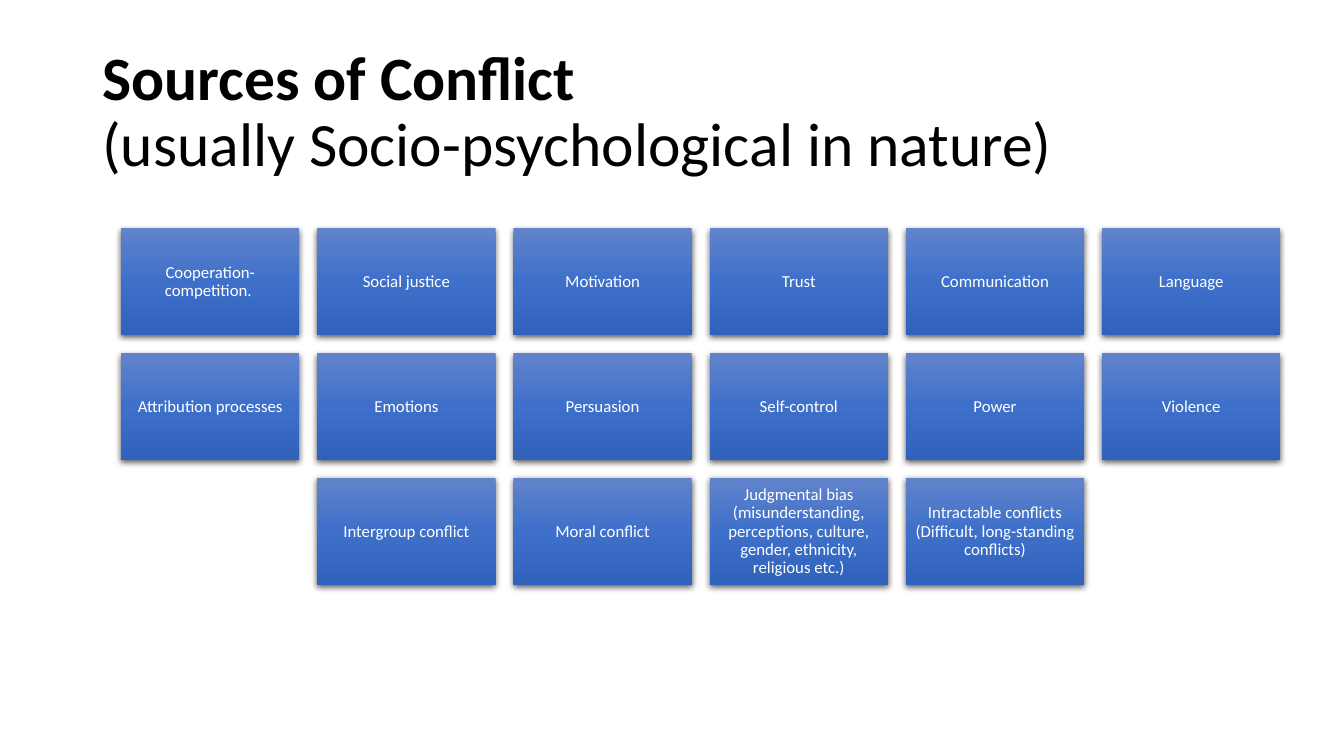
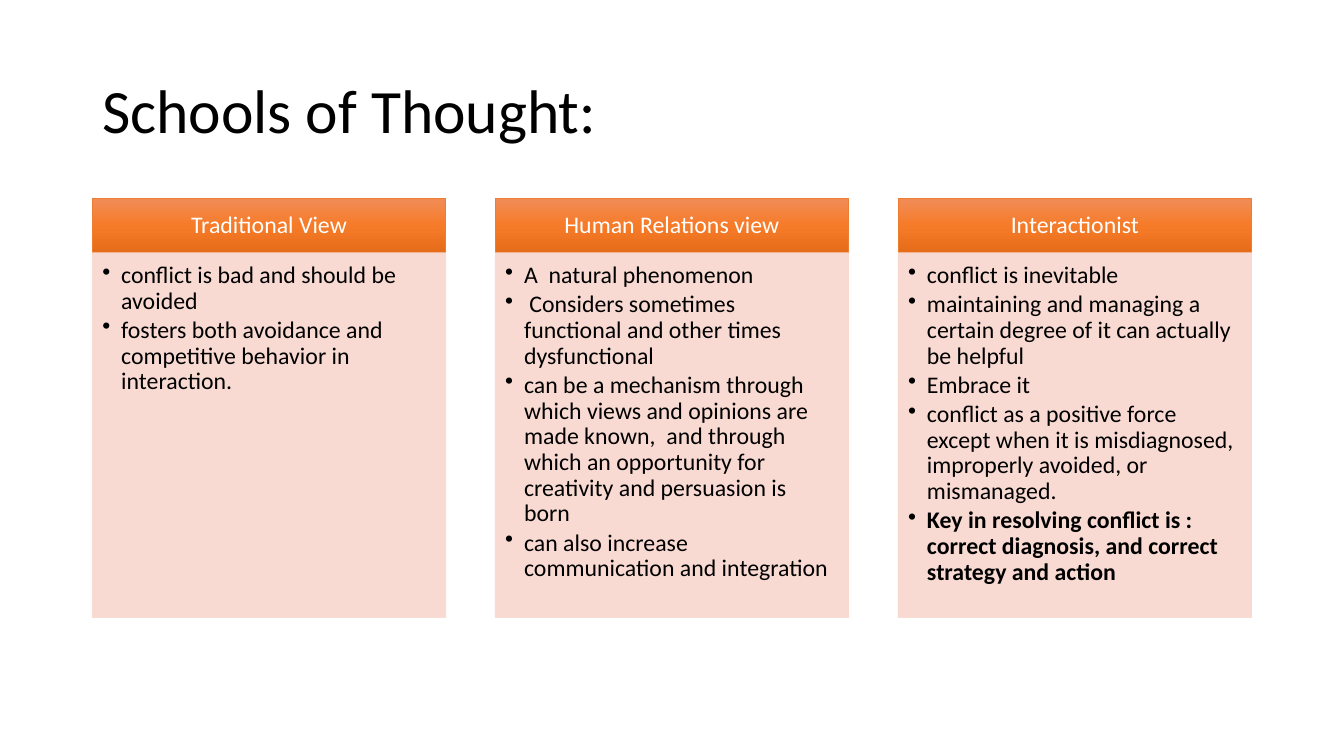
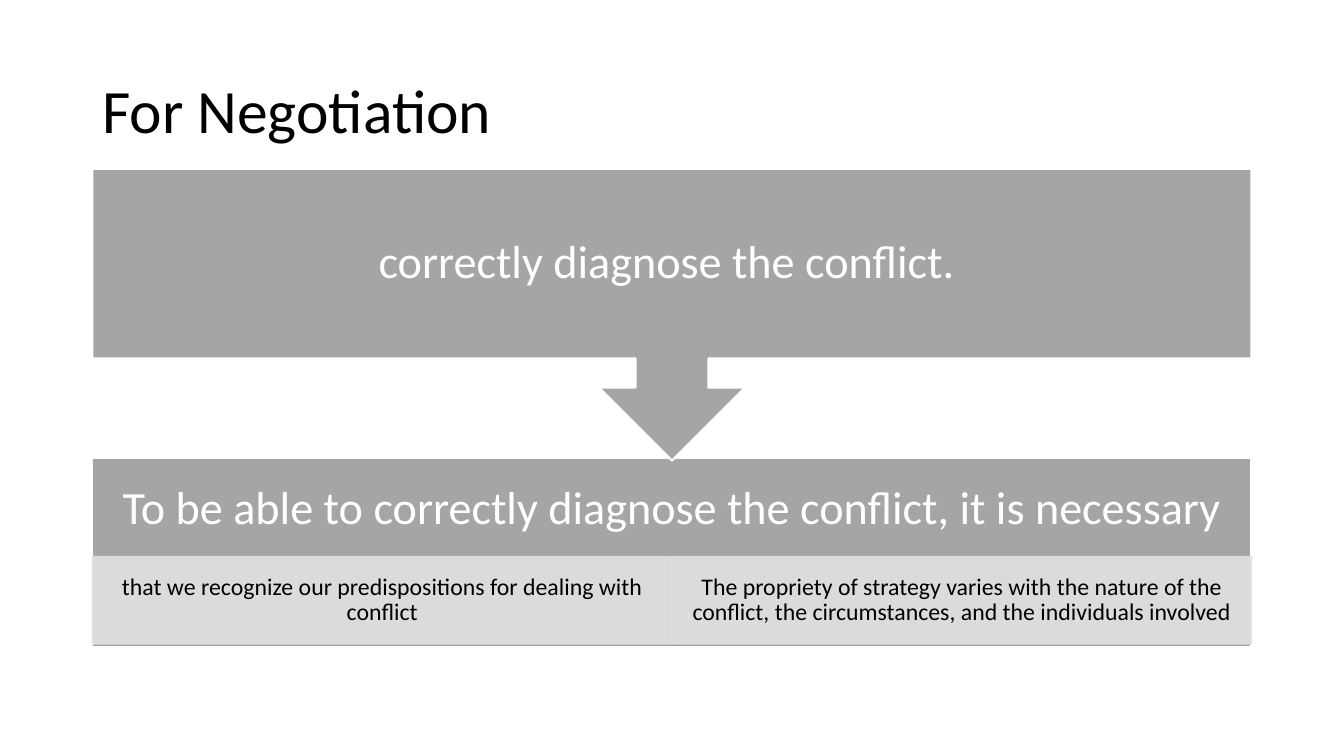
from lxml.etree import SubElement
from pptx import Presentation
from pptx.dml.color import RGBColor
from pptx.enum.shapes import MSO_SHAPE
from pptx.enum.text import MSO_ANCHOR, PP_ALIGN
from pptx.oxml.ns import qn
from pptx.util import Pt

FONT = "Calibri"
COLORS = {
    "black": "000000",
    "white": "FFFFFF",
    "orange": "ED7D31",
    "peach": "F8D7CE",
    "gray": "A5A5A5",
    "light_gray": "E1E1E1",
}
GRADIENTS = {
    "blue": ("6183CB", "3E70CA", "3062BB"),
    "orange": ("F18C57", "F67B28", "E56C19"),
}
LEFT, CONTENT_WIDTH = 66, 828

SOURCES = [
    ["Cooperation-competition. ", "Social justice", "Motivation", "Trust", "Communication", "Language"],
    ["Attribution processes", "Emotions", "Persuasion", "Self-control", "Power", "Violence"],
    [
        "Intergroup conflict",
        "Moral conflict",
        "Judgmental bias (misunderstanding, perceptions, culture, gender, ethnicity, religious etc.)",
        "Intractable conflicts (Difficult, long-standing conflicts)",
    ],
]
SCHOOLS = {
    "Traditional View": [
        "conflict is bad and should be avoided",
        "fosters both avoidance and competitive behavior in interaction.",
    ],
    "Human Relations view": [
        "A  natural phenomenon",
        " Considers sometimes functional and other times dysfunctional",
        "can be a mechanism through which views and opinions are made known,  and "
        "through which an opportunity for creativity and persuasion is born",
        "can also increase communication and integration",
    ],
    "Interactionist": [
        "conflict is inevitable",
        "maintaining and managing a certain degree of it can actually be helpful",
        "Embrace it",
        "conflict as a positive force except when it is misdiagnosed, improperly avoided, or mismanaged. ",
        "Key in resolving conflict is : correct diagnosis, and correct strategy and action",
    ],
}
KEY_POINT = SCHOOLS["Interactionist"][-1]
NEEDS = [
    "that we recognize our predispositions for dealing with conflict",
    "The propriety of strategy varies with the nature of the conflict, the circumstances, "
    "and the individuals involved",
]


def rgb(name):
    return RGBColor.from_string(COLORS[name])


def write_text(paragraph, text, size, color="black", bold=False, align=PP_ALIGN.LEFT):
    paragraph.alignment = align
    paragraph.line_spacing = 0.9
    run = paragraph.add_run()
    run.text = text
    run.font.name = FONT
    run.font.size = Pt(size)
    run.font.bold = bold
    run.font.color.rgb = rgb(color)


def set_frame(shape, insets, anchor=MSO_ANCHOR.MIDDLE):
    frame = shape.text_frame
    frame.word_wrap = True
    frame.vertical_anchor = anchor
    frame.margin_left, frame.margin_top, frame.margin_right, frame.margin_bottom = map(Pt, insets)
    return frame


def set_gradient(shape, colors):
    shape.fill.gradient()
    shape.fill.gradient_angle = 270
    stops = shape.element.spPr.find(qn("a:gradFill")).find(qn("a:gsLst"))
    for stop in list(stops):
        stops.remove(stop)
    for position, color in zip((0, 50000, 100000), colors):
        stop = SubElement(stops, qn("a:gs"), pos=str(position))
        SubElement(stop, qn("a:srgbClr"), val=color)


def set_opacity(shape, percent):
    for color in shape.element.spPr.iter(qn("a:srgbClr")):
        SubElement(color, qn("a:alpha"), val=str(percent * 1000))


def add_shadow(shape):
    effects = shape.element.spPr.find(qn("a:effectLst"))
    shadow = SubElement(
        effects, qn("a:outerShdw"), blurRad=str(Pt(4.5)), dist=str(Pt(1.5)),
        dir="5400000", algn="ctr", rotWithShape="0",
    )
    color = SubElement(shadow, qn("a:srgbClr"), val=COLORS["black"])
    SubElement(color, qn("a:alpha"), val="63000")


def add_bullet(paragraph):
    properties = paragraph._p.get_or_add_pPr()
    properties.set("marL", str(Pt(13.5)))
    properties.set("indent", str(Pt(-13.5)))
    SubElement(properties, qn("a:buChar"), char="•")


def add_box(slide, left, top, width, height, fill=None, gradient=None, line=None,
            line_width=1, opacity=100, kind=MSO_SHAPE.RECTANGLE):
    shape = slide.shapes.add_shape(kind, Pt(left), Pt(top), Pt(width), Pt(height))
    shape.shadow.inherit = False
    if gradient:
        set_gradient(shape, GRADIENTS[gradient])
    else:
        shape.fill.solid()
        shape.fill.fore_color.rgb = rgb(fill)
    if line:
        shape.line.color.rgb = rgb(line)
        shape.line.width = Pt(line_width)
    else:
        shape.line.fill.background()
    if opacity < 100:
        set_opacity(shape, opacity)
    return shape


def add_label(shape, text, size, insets, color="white"):
    frame = set_frame(shape, insets)
    write_text(frame.paragraphs[0], text, size, color, align=PP_ALIGN.CENTER)


def add_slide(presentation, title, subtitle=None):
    slide = presentation.slides.add_slide(presentation.slide_layouts[6])
    box = slide.shapes.add_textbox(Pt(LEFT), Pt(28.75), Pt(CONTENT_WIDTH), Pt(104.4))
    paragraph = set_frame(box, (7.2, 3.6, 7.2, 3.6)).paragraphs[0]
    write_text(paragraph, title, 44, bold=subtitle is not None)
    if subtitle:
        paragraph.add_line_break()
        write_text(paragraph, subtitle, 44)
    return slide


def build_sources(presentation):
    slide = add_slide(presentation, "Sources of Conflict", "(usually Socio-psychological in nature)")
    left, top, width, height, gap = 86.5, 163.2, 127.4, 76.4, 12.74
    columns = len(SOURCES[0])
    for row, names in enumerate(SOURCES):
        first_column = (columns - len(names)) / 2
        for column, name in enumerate(names, 1):
            x = left + (first_column + column - 1) * (width + gap)
            card = add_box(slide, x, top + row * (height + gap), width, height, gradient="blue")
            add_shadow(card)
            add_label(card, name, 12, (3.6,) * 4)


def build_schools(presentation):
    slide = add_slide(presentation, "Schools of Thought:")
    top, width, header_height, body_height = 142, 252.4, 38.6, 260.6
    pitch = (CONTENT_WIDTH - width) / (len(SCHOOLS) - 1)
    for column, (school, points) in enumerate(SCHOOLS.items()):
        x = LEFT + column * pitch
        header = add_box(slide, x, top, width, header_height, gradient="orange",
                         line="orange", line_width=0.5)
        add_label(header, school, 17, (9.6, 5.5, 9.6, 5.5))
        body = add_box(slide, x, top + header_height, width, body_height, fill="peach",
                       line="peach", line_width=0.5, opacity=90)
        frame = set_frame(body, (7.2, 7.2, 9.6, 10.8), MSO_ANCHOR.TOP)
        for index, point in enumerate(points):
            paragraph = frame.add_paragraph() if index else frame.paragraphs[0]
            paragraph.space_after = Pt(2.5)
            write_text(paragraph, point, 17, bold=point == KEY_POINT)
            add_bullet(paragraph)


def build_negotiation(presentation):
    slide = add_slide(presentation, "For Negotiation")
    inset, base_top, base_height, heading_height = 18.7, 327, 135.4, 73.2
    base = add_box(slide, LEFT, base_top, CONTENT_WIDTH, base_height, fill="gray",
                   line="white", line_width=1.5)
    bottom_inset = inset + base_height - heading_height
    add_label(base, "To be able to correctly diagnose the conflict, it is necessary", 33,
              (inset, inset, inset, bottom_inset))
    width = CONTENT_WIDTH / len(NEEDS)
    for column, need in enumerate(NEEDS):
        panel = add_box(slide, LEFT + column * width, 397.5, width, 62.4, fill="light_gray",
                        line="light_gray", opacity=90)
        add_label(panel, need, 17, (9.6, 1.6, 9.6, 1.6), "black")
    callout = add_box(slide, LEFT, 120.6, CONTENT_WIDTH, 208.4, fill="gray", line="white",
                      line_width=1.5, kind=MSO_SHAPE.DOWN_ARROW_CALLOUT)
    add_label(callout, "correctly diagnose the conflict. ", 33, (inset,) * 4)


def main():
    presentation = Presentation()
    presentation.slide_width = Pt(960)
    presentation.slide_height = Pt(540)
    build_sources(presentation)
    build_schools(presentation)
    build_negotiation(presentation)
    presentation.save("out.pptx")


if __name__ == "__main__":
    main()
